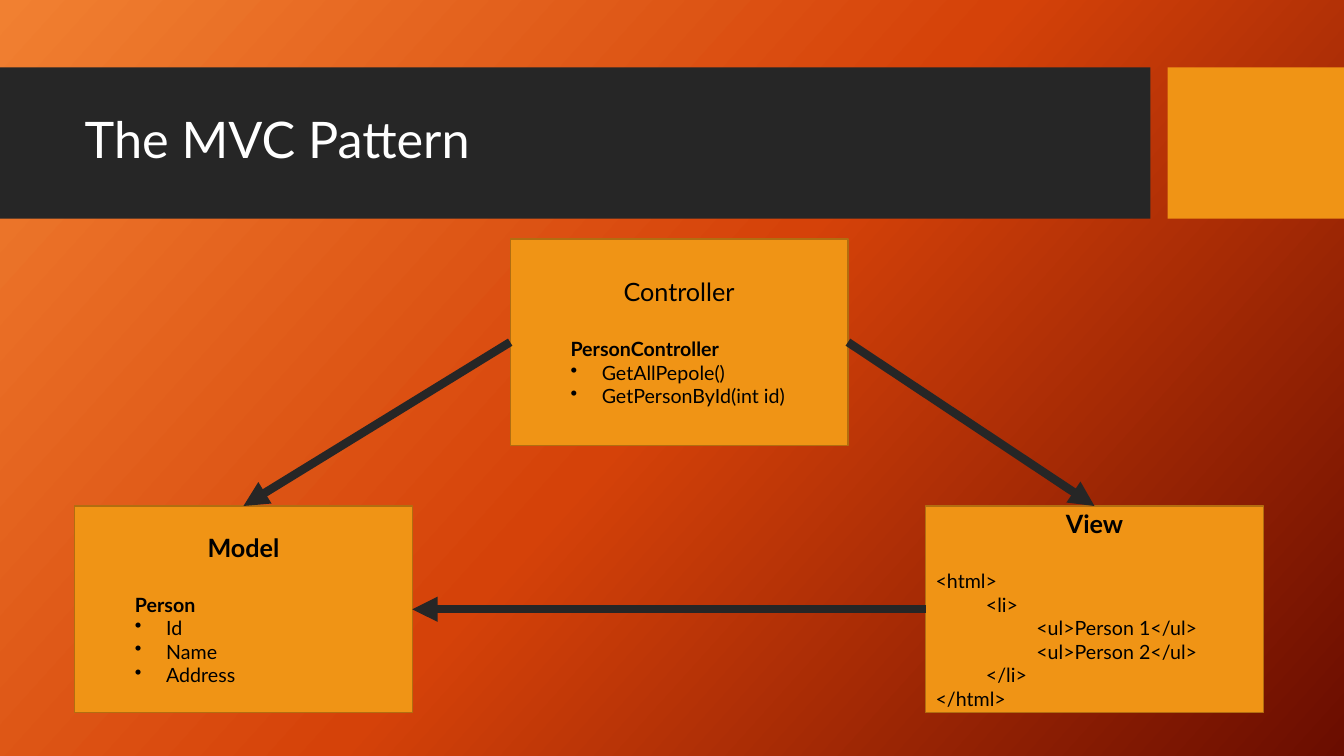
"""Build the MVC pattern slide: three boxes joined by arrows under a title band."""
from copy import deepcopy

from lxml.etree import SubElement
from pptx import Presentation
from pptx.dml.color import RGBColor
from pptx.enum.shapes import MSO_CONNECTOR, MSO_SHAPE
from pptx.enum.text import MSO_ANCHOR, MSO_AUTO_SIZE, PP_ALIGN
from pptx.oxml.ns import qn
from pptx.util import Inches, Pt

COLORS = {"dark": "262626", "amber": "F09415", "edge": "B26D10",
          "text": "000000", "title": "FFFFFF"}
BACKGROUND = [(0, "F18031"), (0.5, "D54209"), (1, "6A0D00")]
FONT = "Lato"
TOP, LEFT, RIGHT = 0, 1, 3

prs = Presentation()
prs.slide_width, prs.slide_height = Inches(13.33), Inches(7.5)
s = prs.slides.add_slide(prs.slide_layouts[5])


def area(x, y, w, h):
    """Turn percentages of the slide into left, top, width and height."""
    return [int(size * share / 100) for size, share in
            zip((prs.slide_width, prs.slide_height) * 2, (x, y, w, h))]


def add_box(color, *place):
    """Add a plain filled rectangle."""
    sp = s.shapes.add_shape(MSO_SHAPE.RECTANGLE, *area(*place))
    sp.shadow.inherit = False
    sp.fill.solid()
    sp.fill.fore_color.rgb = RGBColor.from_string(COLORS[color])
    sp.line.fill.background()
    return sp


fill = s.background.fill
fill.gradient()
fill.gradient_angle = 318
stops = s.element.find(".//" + qn("a:gsLst"))
stops.insert(1, deepcopy(stops[0]))
for stop, (position, color) in zip(fill.gradient_stops, BACKGROUND):
    stop.position = position
    stop.color.rgb = RGBColor.from_string(color)

add_box("dark", 0, 8.93, 85.6, 20)
add_box("amber", 86.87, 8.93, 13.13, 20)

title = s.shapes.title
title.left, title.top, title.width, title.height = area(5.55, 10.93, 78.84, 15.73)
s.shapes.element.append(title.element)
tf = title.text_frame
tf.text = "The MVC Pattern"
tf.auto_size = MSO_AUTO_SIZE.NONE
tf.vertical_anchor = MSO_ANCHOR.MIDDLE
p = tf.paragraphs[0]
p.alignment = PP_ALIGN.LEFT
p.line_spacing = 0.9
r = p.runs[0]
r.font.size, r.font.name = Pt(36), FONT
r.font.color.rgb = RGBColor.from_string(COLORS["title"])

parts = [
    ("Model", True, 5.55, 66.93,
     [("Person", 0.5, "b"), ("Id", 0.81, "•"), ("Name", 0.81, "•"),
      ("Address", 0.81, "•")]),
    ("Controller", False, 37.96, 31.6,
     [("PersonController", 0.5, "b"), ("GetAllPepole()", 0.81, "•"),
      ("GetPersonById(int id)", 0.81, "•")]),
    ("View", True, 68.87, 66.93,
     [("<html>", 0, ""), ("<li>", 0.5, ""), ("<ul>Person 1</ul>", 1, ""),
      ("<ul>Person 2</ul>", 1, ""), ("</li>", 0.5, ""), ("</html>", 0, "")]),
]
boxes = {}
for name, bold, x, y, rows in parts:
    sp = boxes[name] = add_box("amber", x, y, 25.13, 27.33)
    sp.line.color.rgb = RGBColor.from_string(COLORS["edge"])
    sp.line.width = Pt(1)
    tf = sp.text_frame
    tf.word_wrap = True
    tf.vertical_anchor = MSO_ANCHOR.MIDDLE
    tf.text = "\n".join([name] + [row[0] for row in rows])
    head, *lines = tf.paragraphs
    head.alignment = PP_ALIGN.CENTER
    head.space_after = Pt(21.6)
    head.runs[0].font.size, head.runs[0].font.bold = Pt(18), bold
    for p, (_, indent, mark) in zip(lines, rows):
        p.alignment = PP_ALIGN.LEFT
        p.runs[0].font.size, p.runs[0].font.bold = Pt(14), mark == "b"
        pPr = p._p.get_or_add_pPr()
        pPr.set("marL", str(Inches(indent)))
        if mark == "•":
            pPr.set("indent", str(Inches(-0.31)))
            SubElement(pPr, qn("a:buChar"), char=mark)
    for p in tf.paragraphs:
        p.runs[0].font.name = FONT
        p.runs[0].font.color.rgb = RGBColor.from_string(COLORS["text"])

for start, start_side, end, end_side in [("Controller", RIGHT, "View", TOP),
                                         ("Controller", LEFT, "Model", TOP),
                                         ("View", LEFT, "Model", RIGHT)]:
    arrow = s.shapes.add_connector(MSO_CONNECTOR.STRAIGHT, 0, 0, 0, 0)
    arrow.begin_connect(boxes[start], start_side)
    arrow.end_connect(boxes[end], end_side)
    arrow.line.color.rgb = RGBColor.from_string(COLORS["dark"])
    arrow.line.width = Pt(6)
    SubElement(arrow.line._get_or_add_ln(), qn("a:tailEnd"), type="triangle")
    SubElement(arrow.element.spPr, qn("a:effectLst"))

prs.save("out.pptx")
